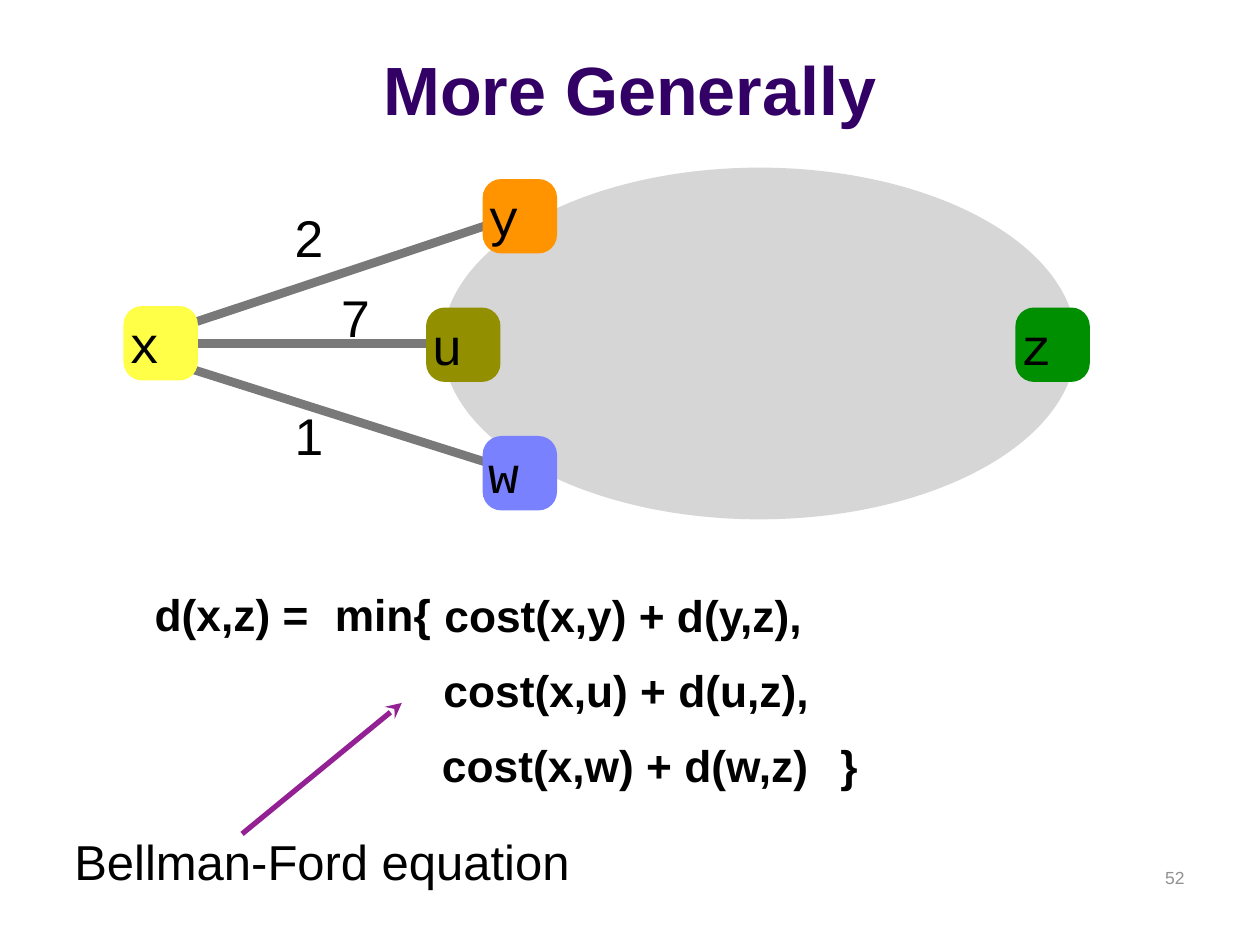
import pptx
import pptx.util
import pptx.dml.color
import pptx.enum.shapes
import pptx.enum.text
from lxml import etree

Cm = pptx.util.Cm
Pt = pptx.util.Pt
Shape = pptx.enum.shapes.MSO_SHAPE
Align = pptx.enum.text.PP_ALIGN
Anchor = pptx.enum.text.MSO_ANCHOR
NS = "{http://schemas.openxmlformats.org/drawingml/2006/main}"

HUES = {
    "title": "330066", "ink": "000000", "page": "919191",
    "cloud": "D6D6D6", "edge": "797979", "arrow": "942193",
    "x": "FFFF47", "y": "FF9300", "u": "929000", "w": "7A81FF", "z": "008F00",
}


class Deck:
    sans = "Arial"
    mono = "Courier New"
    node_size = 1.5
    big = 29.5

    def __init__(self, wide, high):
        self.show = pptx.Presentation()
        self.show.slide_width, self.show.slide_height = Cm(wide), Cm(high)
        self.slide = self.show.slides.add_slide(self.show.slide_layouts[5])

    def hue(self, name):
        return pptx.dml.color.RGBColor.from_string(HUES[name])

    def label(self, frame, text, size, hue="ink", font=sans, bold=False,
              align=Align.LEFT, anchor=Anchor.MIDDLE, pad=(0.1, 0.1)):
        frame.word_wrap = True
        frame.vertical_anchor = anchor
        frame.margin_left = frame.margin_right = Cm(pad[0])
        frame.margin_top = frame.margin_bottom = Cm(pad[1])
        para = frame.paragraphs[0]
        para.alignment = align
        run = para.add_run()
        run.text = text
        run.font.size, run.font.name, run.font.bold = Pt(size), font, bold
        run.font.color.rgb = self.hue(hue)

    def title(self, text, left, top, wide, high):
        head = self.slide.shapes.title
        head.left, head.top, head.width, head.height = map(Cm, (left, top, wide, high))
        self.label(head.text_frame, text, 39, "title", bold=True,
                   align=Align.CENTER, anchor=Anchor.BOTTOM, pad=(0.25, 0.13))

    def text(self, text, left, top, wide, high, size, **style):
        box = self.slide.shapes.add_textbox(*map(Cm, (left, top, wide, high)))
        self.label(box.text_frame, text, size, **style)

    def shape(self, kind, left, top, wide, high, hue):
        form = self.slide.shapes.add_shape(kind, *map(Cm, (left, top, wide, high)))
        form.shadow.inherit = False
        form.fill.solid()
        form.fill.fore_color.rgb = self.hue(hue)
        form.line.fill.background()
        return form

    def node(self, name, left, top):
        form = self.shape(Shape.ROUNDED_RECTANGLE, left, top,
                          self.node_size, self.node_size, name)
        form.adjustments[0] = 0.25
        self.label(form.text_frame, name, self.big, font=self.mono, pad=(0, 0))

    def line(self, start, end, hue, width, tip=None):
        link = self.slide.shapes.add_connector(
            pptx.enum.shapes.MSO_CONNECTOR.STRAIGHT, *map(Cm, start + end))
        link.line.color.rgb = self.hue(hue)
        link.line.width = Pt(width)
        props = link._element.spPr
        if tip:
            etree.SubElement(props.find(NS + "ln"), NS + "tailEnd", type=tip)
        etree.SubElement(props, NS + "effectLst")


deck = Deck(25.4, 19.05)
deck.title("More Generally", 0, 0.33, 25.4, 2.41)
deck.shape(Shape.OVAL, 8.92, 3.38, 12.78, 7.09, "cloud")

for start, end in [
    ((3.61, 6.6), (10.03, 4.47)),
    ((3.71, 6.93), (9.07, 6.93)),
    ((3.48, 7.32), (10.06, 9.4)),
]:
    deck.line(start, end, "edge", 5)

for name, left, top in [
    ("x", 2.49, 6.17), ("y", 9.73, 3.61), ("u", 8.59, 6.2),
    ("w", 9.73, 8.79), ("z", 20.47, 6.2),
]:
    deck.node(name, left, top)

for cost, left, top in [("2", 5.84, 4.04), ("7", 6.78, 5.66), ("1", 5.84, 8.03)]:
    deck.text(cost, left, top, 0.8, 1.47, deck.big)

for term, left, top, wide in [
    ("d(x,z) =", 3.02, 11.73, 3.58),
    ("min{", 6.65, 11.73, 2.3),
    ("cost(x,y) + d(y,z),", 8.86, 11.76, 7.98),
    ("cost(x,u) + d(u,z),", 8.84, 13.26, 7.98),
    ("cost(x,w) + d(w,z)", 8.81, 14.78, 9.3),
    ("}", 16.84, 14.78, 0.7),
]:
    deck.text(term, left, top, wide, 1.27, 25.3, bold=True)

deck.text("Bellman-Ford equation", 1.4, 16.66, 11, 1.4, 28)
deck.line((4.88, 16.81), (8.1, 14.17), "arrow", 3, "stealth")
deck.text("52", 18.21, 17.35, 5.92, 1.27, 10, hue="page",
          align=Align.RIGHT, anchor=Anchor.TOP, pad=(0.25, 0.13))

deck.show.save("out.pptx")
